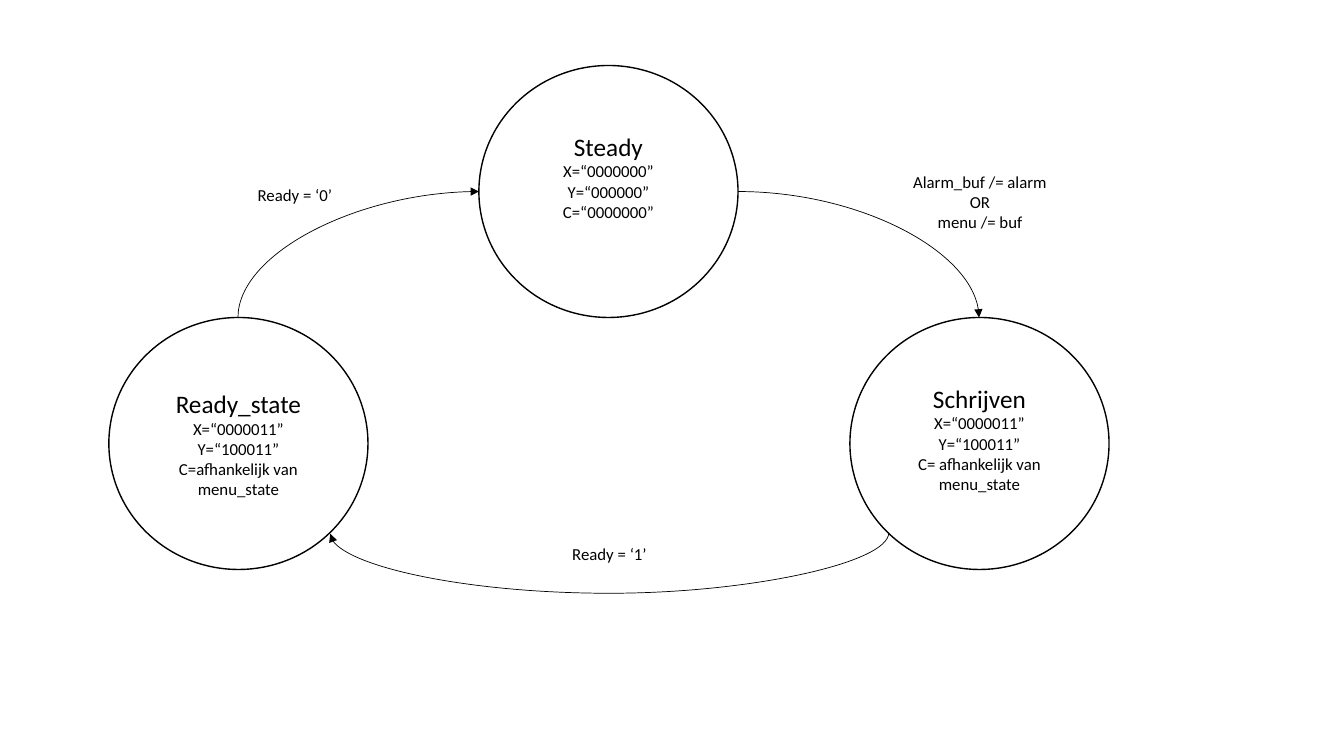
import dataclasses

import lxml.etree
import pptx
import pptx.dml.color
import pptx.enum.shapes
import pptx.enum.text
import pptx.oxml.ns
import pptx.util

Inches = pptx.util.Inches
qn = pptx.oxml.ns.qn
SubElement = lxml.etree.SubElement


@dataclasses.dataclass(frozen=True)
class Theme:
    ink: pptx.dml.color.RGBColor = pptx.dml.color.RGBColor(0, 0, 0)
    font: str = "Calibri"
    title: int = 18
    body: int = 12
    ring: float = 1
    arrow: float = 0.5


@dataclasses.dataclass(frozen=True)
class State:
    left: float
    top: float
    drop: float  # from the top of the circle to its text
    high: float
    lines: tuple[str, ...]


@dataclasses.dataclass(frozen=True)
class Label:
    left: float
    top: float
    width: float
    high: float
    lines: tuple[str, ...]


@dataclasses.dataclass(frozen=True)
class Arrow:
    start: int
    start_site: int
    end: int
    end_site: int
    box: tuple[float, float, float, float]
    kind: str
    turn: int = 0
    flip: bool = False
    bend: int | None = None


THEME = Theme()
RING_W, RING_H = 2.57, 2.5
TEXT_W = 1.6

# Sites on a circle, counted from the top against the clock
TOP, LEFT, LOW_LEFT, LOW_RIGHT, RIGHT = 0, 2, 3, 5, 6
STEADY, WRITE, READY = range(3)

STATES = (
    State(4.75, 0.65, 0.6, 1.01,
          ("Steady", "X=“0000000”", "Y=“000000”", "C=“0000000”")),
    State(8.43, 3.15, 0.6, 1.21,
          ("Schrijven", "X=“0000011”", "Y=“100011”",
           "C= afhankelijk van menu_state")),
    State(1.08, 3.15, 0.65, 1.21,
          ("Ready_state", "X=“0000011”", "Y=“100011”",
           "C=afhankelijk van menu_state")),
)
ARROWS = (
    Arrow(STEADY, RIGHT, WRITE, TOP, (7.32, 1.9, 2.39, 1.25),
          "curvedConnector2"),
    Arrow(WRITE, LOW_LEFT, READY, LOW_RIGHT, (6.04, 2.52, 0.01, 5.54),
          "curvedConnector3", turn=90, bend=6100000),
    Arrow(READY, TOP, STEADY, LEFT, (2.93, 1.33, 1.25, 2.39),
          "curvedConnector2", turn=90, flip=True),
)
LABELS = (
    Label(8.82, 1.65, 1.8, 0.71, ("Alarm_buf /= alarm", "OR", "menu /= buf")),
    Label(4.92, 5.35, 2.25, 0.3, ("Ready = ‘1’",)),
    Label(1.8, 1.78, 2.25, 0.3, ("Ready = ‘0’",)),
)


def add_text(shapes, label: Label, titled: bool = False) -> None:
    box = shapes.add_textbox(Inches(label.left), Inches(label.top),
                             Inches(label.width), Inches(label.high))
    frame = box.text_frame
    frame.word_wrap = True
    frame.auto_size = pptx.enum.text.MSO_AUTO_SIZE.SHAPE_TO_FIT_TEXT
    frame.text = "\n".join(label.lines)
    for row, para in enumerate(frame.paragraphs):
        para.alignment = pptx.enum.text.PP_ALIGN.CENTER
        size = THEME.title if titled and row == 0 else THEME.body
        para.font.size = pptx.util.Pt(size)
        para.font.name = THEME.font
        para.font.color.rgb = THEME.ink


def add_state(slide, state: State):
    group = slide.shapes.add_group_shape()
    ring = group.shapes.add_shape(
        pptx.enum.shapes.MSO_SHAPE.OVAL, Inches(state.left),
        Inches(state.top), Inches(RING_W), Inches(RING_H))
    ring.shadow.inherit = False
    ring.fill.background()
    ring.line.color.rgb = THEME.ink
    ring.line.width = pptx.util.Pt(THEME.ring)
    inset = (RING_W - TEXT_W) / 2
    add_text(group.shapes, Label(state.left + inset, state.top + state.drop,
                                 TEXT_W, state.high, state.lines), titled=True)
    return ring


def add_arrow(slide, arrow: Arrow, rings: list) -> None:
    left, top, width, high = arrow.box
    curve = slide.shapes.add_connector(
        pptx.enum.shapes.MSO_CONNECTOR.CURVE, Inches(left), Inches(top),
        Inches(left + width), Inches(top + high))
    curve.line.color.rgb = THEME.ink
    curve.line.width = pptx.util.Pt(THEME.arrow)

    # Curve form, turn and head
    props = curve._element.spPr
    frame = props.find(qn("a:xfrm"))
    if arrow.turn:
        frame.set("rot", str(arrow.turn * 60000))
    if arrow.flip:
        frame.set("flipH", "1")
        frame.set("flipV", "1")
    form = props.find(qn("a:prstGeom"))
    form.set("prst", arrow.kind)
    if arrow.bend is not None:
        SubElement(form.find(qn("a:avLst")), qn("a:gd"),
                   name="adj1", fmla=f"val {arrow.bend}")
    SubElement(props.find(qn("a:ln")), qn("a:tailEnd"), type="triangle")
    SubElement(props, qn("a:effectLst"))

    # Glue both ends to their circles
    glue = curve._element.find(".//" + qn("p:cNvCxnSpPr"))
    for tag, state, site in (("a:stCxn", arrow.start, arrow.start_site),
                             ("a:endCxn", arrow.end, arrow.end_site)):
        SubElement(glue, qn(tag), id=str(rings[state].shape_id), idx=str(site))


def main() -> None:
    deck = pptx.Presentation()
    deck.slide_width, deck.slide_height = Inches(13.33), Inches(7.5)
    slide = deck.slides.add_slide(deck.slide_layouts[6])
    rings = [add_state(slide, state) for state in STATES]
    for arrow in ARROWS:
        add_arrow(slide, arrow, rings)
    for label in LABELS:
        add_text(slide.shapes, label)
    deck.save("out.pptx")


if __name__ == "__main__":
    main()
